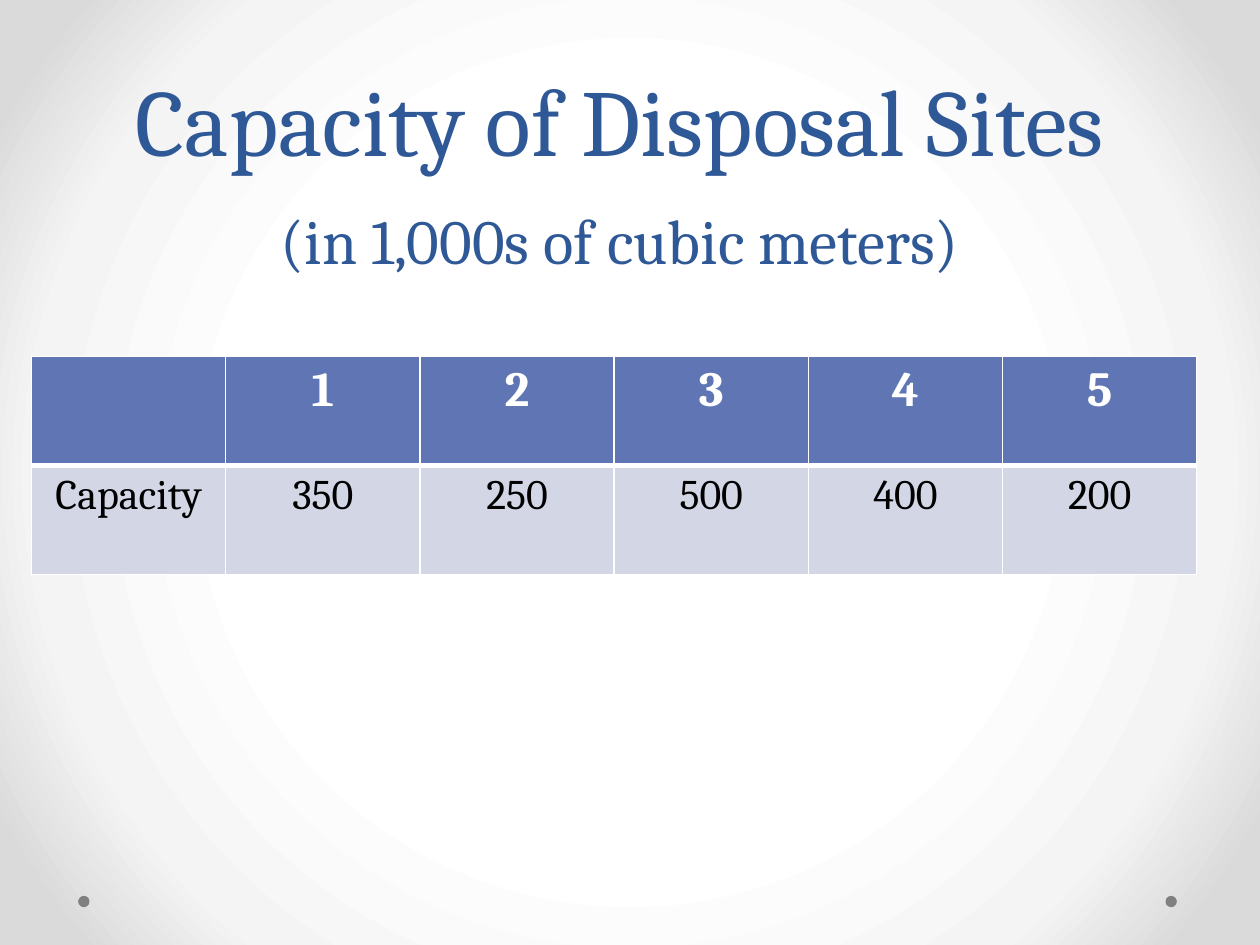
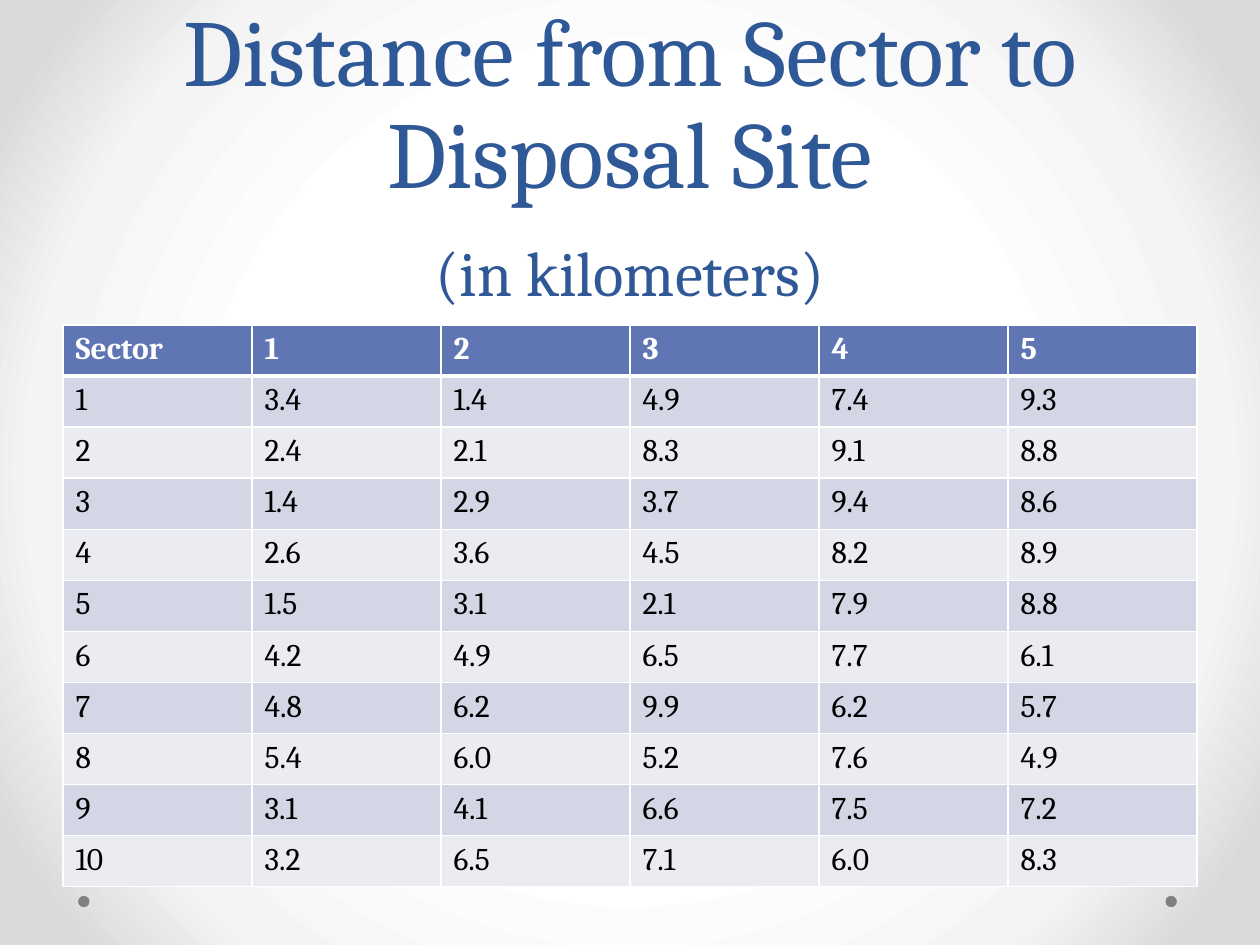
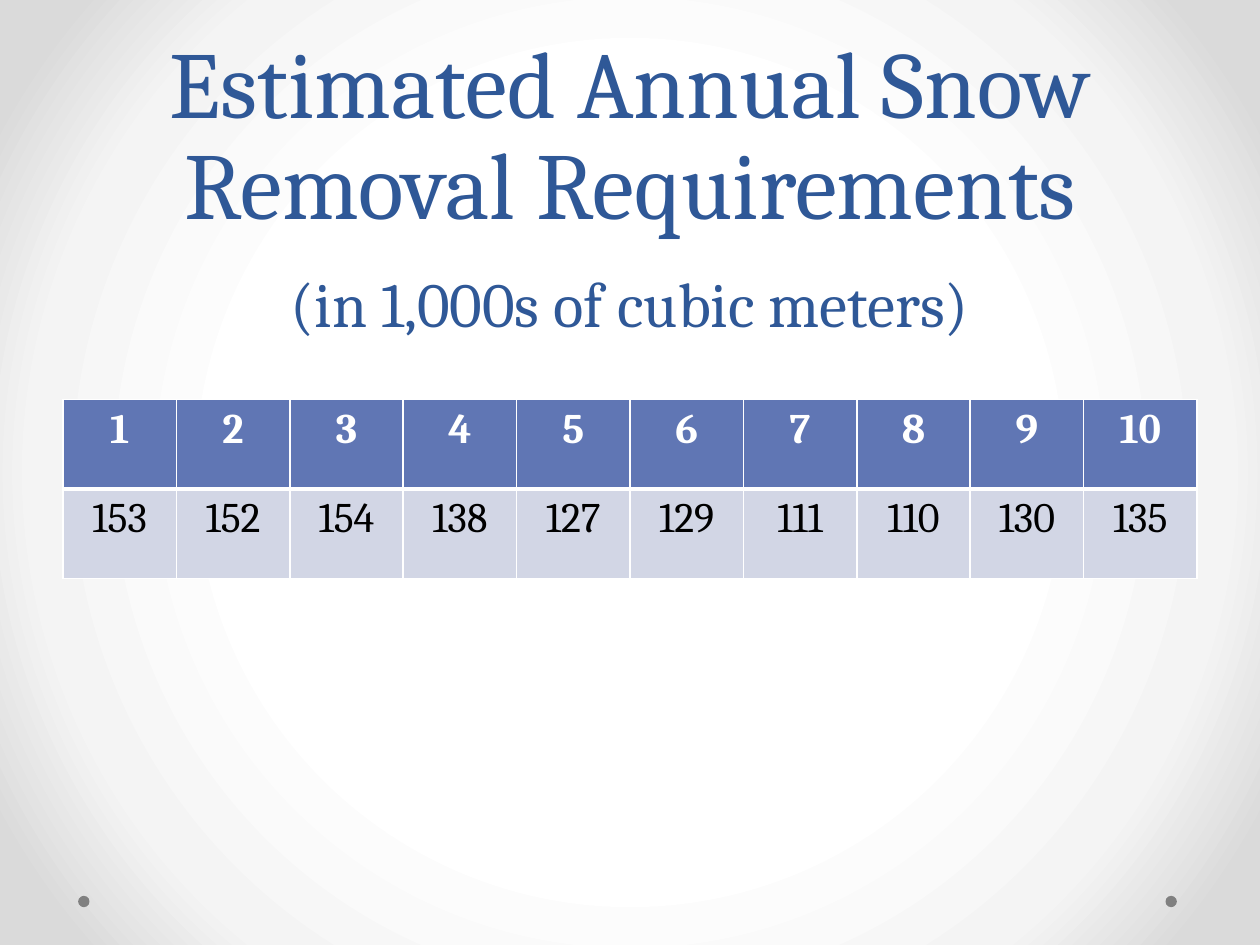
from dataclasses import dataclass

from lxml import etree
from pptx import Presentation
from pptx.dml.color import RGBColor
from pptx.enum.shapes import MSO_SHAPE
from pptx.enum.text import MSO_ANCHOR, MSO_AUTO_SIZE, PP_ALIGN
from pptx.oxml import parse_xml
from pptx.oxml.ns import nsdecls, qn
from pptx.util import Inches, Pt

OVAL = MSO_SHAPE.OVAL
LEFT, CENTER = PP_ALIGN.LEFT, PP_ALIGN.CENTER
BOTTOM = MSO_ANCHOR.BOTTOM
NO_FIT = MSO_AUTO_SIZE.NONE


@dataclass(frozen=True)
class Theme:
    font: str = "Cambria"
    title: str = "2F5897"
    header: str = "6076B4"
    bands: tuple = ("D2D6E5", "EAECF2")
    light: str = "FFFFFF"
    dark: str = "000000"
    dot: str = "808080"
    backdrop: tuple = ((50, "FFFFFF"), (76, "F4F4F4"), (92, "DADADA"))
    title_size: int = 54
    unit_size: int = 36
    title_leading: int = 58
    rule: int = 1
    header_rule: int = 3


THEME = Theme()

# Content: boxes are left, top, width, height in inches
SLIDES = [
    dict(
        title="Capacity of Disposal Sites",
        unit="(in 1,000s of cubic meters)",
        title_box=(0.42, 0.5, 9, 1.75),
        table_box=(0.25, 2.83, 9.25, 1.73),
        header_size=28, body_size=24, align=CENTER,
        rows=[
            ["", "1", "2", "3", "4", "5"],
            ["Capacity", "350", "250", "500", "400", "200"],
        ],
    ),
    dict(
        title="Distance from Sector to Disposal Site",
        unit="(in kilometers)",
        title_box=(0.5, 0, 9, 2.5),
        table_box=(0.5, 2.58, 9, 4.46),
        header_size=18, body_size=18, align=LEFT,
        rows=[
            ["Sector", "1", "2", "3", "4", "5"],
            ["1", "3.4", "1.4", "4.9", "7.4", "9.3"],
            ["2", "2.4", "2.1", "8.3", "9.1", "8.8"],
            ["3", "1.4", "2.9", "3.7", "9.4", "8.6"],
            ["4", "2.6", "3.6", "4.5", "8.2", "8.9"],
            ["5", "1.5", "3.1", "2.1", "7.9", "8.8"],
            ["6", "4.2", "4.9", "6.5", "7.7", "6.1"],
            ["7", "4.8", "6.2", "9.9", "6.2", "5.7"],
            ["8", "5.4", "6.0", "5.2", "7.6", "4.9"],
            ["9", "3.1", "4.1", "6.6", "7.5", "7.2"],
            ["10", "3.2", "6.5", "7.1", "6.0", "8.3"],
        ],
    ),
    dict(
        title="Estimated Annual Snow Removal Requirements",
        unit="(in 1,000s of cubic meters)",
        title_box=(0.5, 0, 9, 2.75),
        table_box=(0.5, 3.17, 9, 1.42),
        header_size=24, body_size=24, align=CENTER,
        rows=[
            ["1", "2", "3", "4", "5", "6", "7", "8", "9", "10"],
            ["153", "152", "154", "138", "127", "129", "111", "110", "130", "135"],
        ],
    ),
]
DOT_LEFTS, DOT_TOP, DOT_SIZE = (0.62, 9.25), 7.11, 0.09


def add_text(p, text, *, size, color, bold=False, align=CENTER):
    p.alignment = align
    r = p.add_run()
    r.text = text
    r.font.name, r.font.size, r.font.bold = THEME.font, Pt(size), bold
    r.font.color.rgb = RGBColor.from_string(color)


def paint(fill, color):
    fill.solid()
    fill.fore_color.rgb = RGBColor.from_string(color)


def set_backdrop(master):
    """Give the master a gradient that spreads from the centre."""
    master.background.fill.solid()
    stops = "".join(f'<a:gs pos="{pos * 1000}"><a:srgbClr val="{color}"/></a:gs>'
                    for pos, color in THEME.backdrop)
    gradient = parse_xml(
        f'<a:gradFill {nsdecls("a")} rotWithShape="1"><a:gsLst>{stops}</a:gsLst>'
        '<a:path path="circle"><a:fillToRect l="50000" t="50000" r="50000" b="50000"/>'
        '</a:path></a:gradFill>')
    bg = master.element.find(".//" + qn("p:bgPr"))
    bg.replace(bg.find(qn("a:solidFill")), gradient)


def add_footer_dots(layout, s):
    """Draw the dots on a slide, then hand them to its layout."""
    for i, left in enumerate(DOT_LEFTS):
        sp = s.shapes.add_shape(OVAL, *map(Inches, (left, DOT_TOP, DOT_SIZE, DOT_SIZE)))
        sp.shadow.inherit = False
        paint(sp.fill, THEME.dot)
        sp.line.fill.background()
        sp.element.nvSpPr.cNvPr.set("id", str(100 + i))
        layout.shapes.element.append(sp.element)


def set_borders(cell, top, bottom):
    widths = {"lnL": THEME.rule, "lnR": THEME.rule, "lnT": top, "lnB": bottom}
    tc_pr = cell._tc.get_or_add_tcPr()
    for i, (side, width) in enumerate(widths.items()):
        ln = etree.Element(qn("a:" + side), w=str(Pt(width)))
        fill = etree.SubElement(ln, qn("a:solidFill"))
        etree.SubElement(fill, qn("a:srgbClr"), val=THEME.light)
        tc_pr.insert(i, ln)


def add_title(s, title, unit, box):
    sp = s.shapes.title
    sp.left, sp.top, sp.width, sp.height = map(Inches, box)
    tf = sp.text_frame
    tf.auto_size, tf.vertical_anchor, tf.word_wrap = NO_FIT, BOTTOM, True
    p = tf.paragraphs[0]
    p.line_spacing = Pt(THEME.title_leading)
    add_text(p, title, size=THEME.title_size, color=THEME.title)
    p.add_line_break()
    add_text(p, unit, size=THEME.unit_size, color=THEME.title)


def add_data_table(s, rows, box, header_size, body_size, align):
    # Columns and rows share the box equally
    table = s.shapes.add_table(len(rows), len(rows[0]), *map(Inches, box)).table
    for col in table.columns:
        col.width = Inches(box[2] / len(rows[0]))
    for i, row in enumerate(rows):
        table.rows[i].height = Inches(box[3] / len(rows))
        is_header = i == 0
        for j, text in enumerate(row):
            cell = table.cell(i, j)
            paint(cell.fill, THEME.header if is_header else THEME.bands[(i - 1) % 2])
            set_borders(cell,
                        top=THEME.header_rule if i == 1 else THEME.rule,
                        bottom=THEME.header_rule if is_header else THEME.rule)
            if text:
                add_text(cell.text_frame.paragraphs[0], text, align=align,
                         size=header_size if is_header else body_size,
                         color=THEME.light if is_header else THEME.dark,
                         bold=is_header)


# Build
prs = Presentation()
prs.slide_width, prs.slide_height = Inches(10), Inches(7.5)
title_only = prs.slide_layouts[5]
set_backdrop(prs.slide_master)

for n, data in enumerate(SLIDES):
    s = prs.slides.add_slide(title_only)
    if n == 0:
        add_footer_dots(title_only, s)
    add_title(s, data["title"], data["unit"], data["title_box"])
    add_data_table(s, data["rows"], data["table_box"],
                   data["header_size"], data["body_size"], data["align"])

prs.save("out.pptx")
